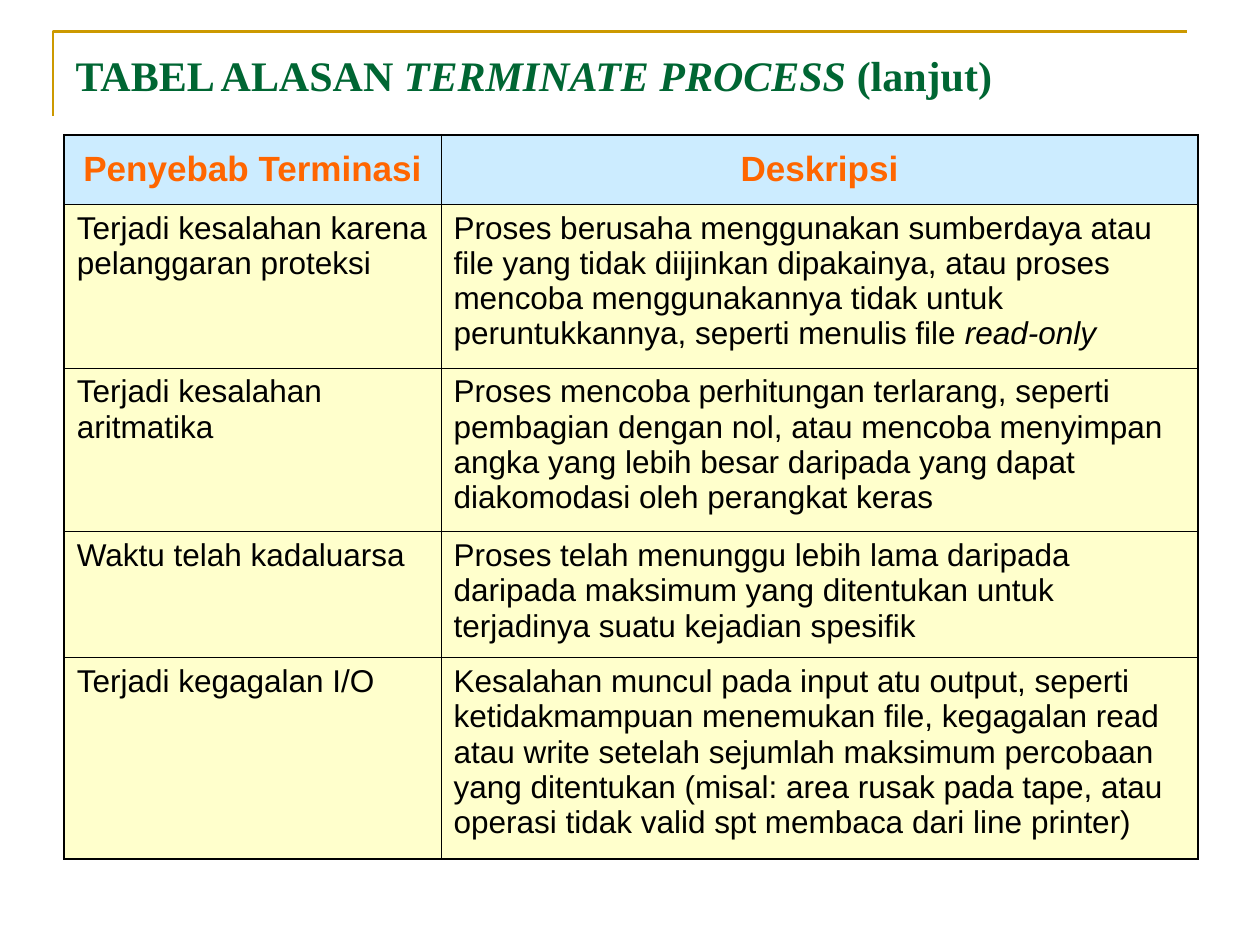
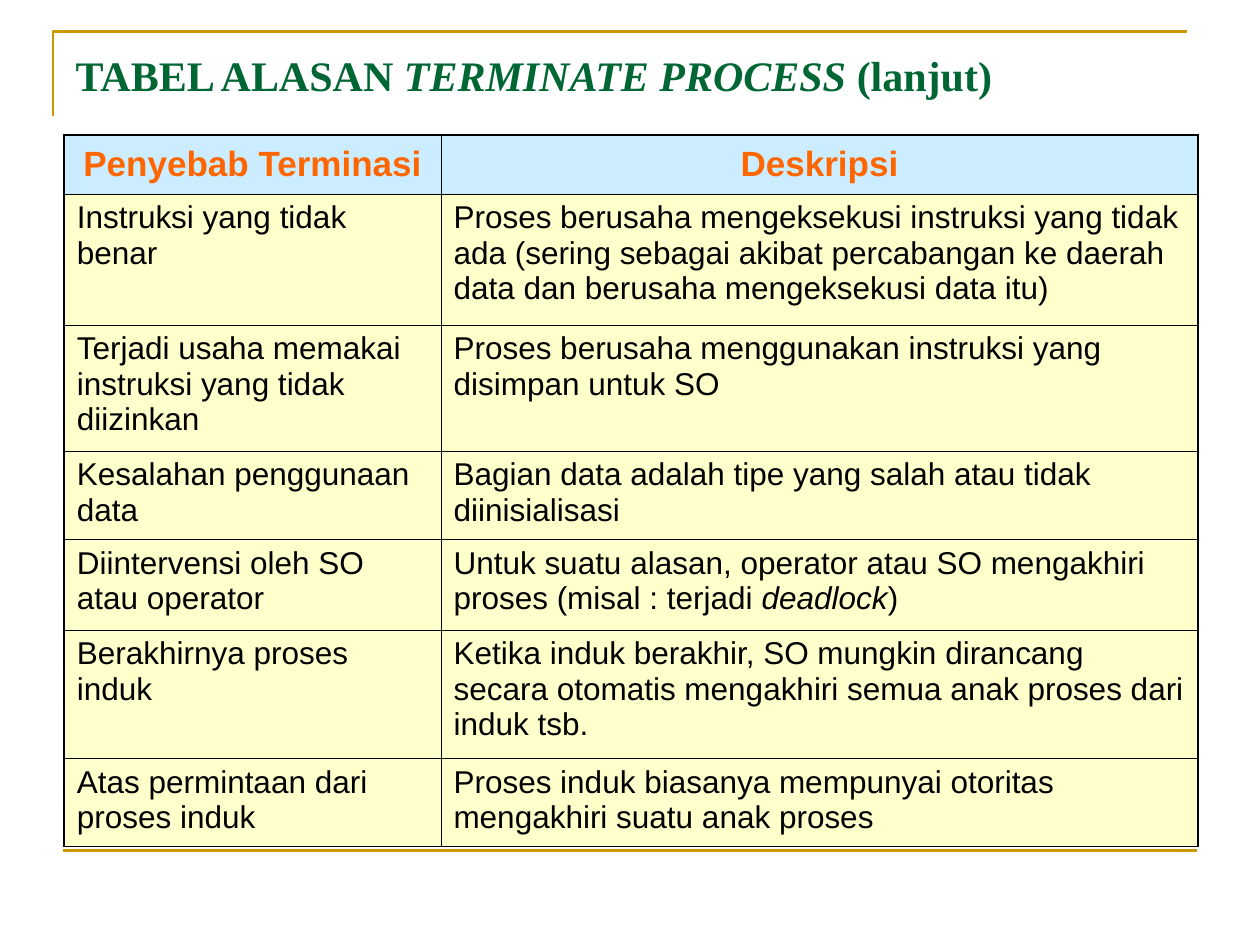
import pptx
import pptx.dml.color
import pptx.enum.text
import pptx.oxml.ns
import pptx.util
from lxml import etree

Inches = pptx.util.Inches
Pt = pptx.util.Pt
Align = pptx.enum.text.PP_ALIGN
Anchor = pptx.enum.text.MSO_ANCHOR

GOLD, BLACK = "CC9900", "000000"
HEADER_FILL, BODY_FILL = "CCECFF", "FFFFCC"
TITLE = {"name": "Times New Roman", "size": Pt(24), "bold": True, "color": "006633"}
HEADER = {"name": "Arial", "size": Pt(20), "bold": True, "color": "FF6600"}
BODY = {"name": "Arial", "size": Pt(18), "bold": False, "color": BLACK}
OUTER, INNER = Pt(1.08), Pt(0.45)
COLUMNS = (2.99, 6.01)

# Text between asterisks is italic.
HEADING = "TABEL ALASAN *TERMINATE PROCESS *(lanjut)"
COLUMN_HEADS = ("Penyebab Terminasi", "Deskripsi")
TABLES = [
    {
        "heights": (0.55, 1.3, 1.3, 1, 1.6),
        "reasons": [
            ("Terjadi kesalahan karena pelanggaran proteksi",
             "Proses berusaha menggunakan sumberdaya atau file yang tidak diijinkan "
             "dipakainya, atau proses mencoba menggunakannya tidak untuk "
             "peruntukkannya, seperti menulis file *read-only*"),
            ("Terjadi kesalahan aritmatika",
             "Proses mencoba perhitungan terlarang, seperti pembagian dengan nol, "
             "atau mencoba menyimpan angka yang lebih besar daripada yang dapat "
             "diakomodasi oleh perangkat keras"),
            ("Waktu telah kadaluarsa",
             "Proses telah menunggu lebih lama daripada daripada maksimum yang "
             "ditentukan untuk terjadinya suatu kejadian spesifik"),
            ("Terjadi kegagalan I/O",
             "Kesalahan muncul pada input atu output, seperti ketidakmampuan "
             "menemukan file, kegagalan read atau write setelah sejumlah maksimum "
             "percobaan yang ditentukan (misal: area rusak pada tape, atau operasi "
             "tidak valid spt membaca dari line printer)"),
        ],
    },
    {
        "heights": (0.47, 1.04, 1, 0.7, 0.72, 1.02, 0.7),
        "reasons": [
            ("Instruksi yang tidak benar",
             "Proses berusaha mengeksekusi instruksi yang tidak ada (sering sebagai "
             "akibat percabangan ke daerah data dan berusaha mengeksekusi data itu)"),
            ("Terjadi usaha memakai instruksi yang tidak diizinkan",
             "Proses berusaha menggunakan instruksi yang disimpan untuk SO"),
            ("Kesalahan penggunaan data",
             "Bagian data adalah tipe yang salah atau tidak diinisialisasi"),
            ("Diintervensi oleh SO atau operator",
             "Untuk suatu alasan, operator atau SO mengakhiri proses "
             "(misal : terjadi *deadlock*)"),
            ("Berakhirnya proses induk",
             "Ketika induk berakhir, SO mungkin dirancang secara otomatis mengakhiri "
             "semua anak proses dari induk tsb."),
            ("Atas permintaan dari proses induk",
             "Proses induk biasanya mempunyai otoritas mengakhiri suatu anak proses"),
        ],
    },
]


def rgb(color):
    return pptx.dml.color.RGBColor.from_string(color)


def add_xml(parent, tag, **attributes):
    return etree.SubElement(parent, pptx.oxml.ns.qn(tag), attributes)


class Deck:
    def __init__(self):
        self.prs = pptx.Presentation()
        self.prs.slide_width, self.prs.slide_height = Inches(10), Inches(7.5)
        self.s = None

    def new_slide(self):
        self.s = self.prs.slides.add_slide(self.prs.slide_layouts[5])
        self.corner()
        self.rule()

    def stroke(self, shape):
        shape.line.color.rgb = rgb(GOLD)
        shape.line.width = Pt(1.5)

    def corner(self):
        """Gold angle around the top left of the title."""
        points = [(Inches(x), Inches(y)) for x, y in ((0.42, 0.92), (0.42, 0.25), (9.42, 0.25))]
        builder = self.s.shapes.build_freeform(*points[0])
        builder.add_line_segments(points[1:], close=False)
        sp = builder.convert_to_shape()
        sp.shadow.inherit = False
        sp.fill.background()
        self.stroke(sp)

    def rule(self):
        """Gold line near the foot of the slide."""
        line = self.s.shapes.add_connector(
            1, Inches(0.5), Inches(6.75), Inches(9.5), Inches(6.75))
        self.stroke(line)
        add_xml(line._element.spPr, "a:effectLst")

    def add_runs(self, p, text, style):
        for i, part in enumerate(text.split("*")):
            if part:
                r = p.add_run()
                r.text = part
                for key, value in style.items():
                    if key == "color":
                        r.font.color.rgb = rgb(value)
                    else:
                        setattr(r.font, key, value)
                r.font.italic = i % 2 == 1

    def title(self, text):
        sp = self.s.shapes.title
        sp.left, sp.top, sp.width, sp.height = map(Inches, (0.5, 0.3, 9, 0.77))
        tf = sp.text_frame
        frame = {"auto_size": pptx.enum.text.MSO_AUTO_SIZE.NONE, "word_wrap": True,
                 "vertical_anchor": Anchor.TOP, "margin_top": Inches(0.09)}
        for key, value in frame.items():
            setattr(tf, key, value)
        p = tf.paragraphs[0]
        p.alignment = Align.LEFT
        self.add_runs(p, text, TITLE)

    def borders(self, cell, outer_sides):
        tc_pr = cell._tc.get_or_add_tcPr()
        for side in "LRTB":
            width = OUTER if side in outer_sides else INNER
            ln = add_xml(tc_pr, f"a:ln{side}", w=str(int(width)))
            add_xml(add_xml(ln, "a:solidFill"), "a:srgbClr", val=BLACK)

    def table(self, rows, heights):
        frame = self.s.shapes.add_table(
            len(rows), len(COLUMNS), Inches(0.51), Inches(1.07),
            Inches(sum(COLUMNS)), Inches(sum(heights)))
        table = frame.table
        table.first_row = table.horz_banding = False
        for column, width in zip(table.columns, COLUMNS):
            column.width = Inches(width)
        for i, (texts, height) in enumerate(zip(rows, heights)):
            table.rows[i].height = Inches(height)
            header = i == 0
            vertical = "T" if header else "B" if i == len(rows) - 1 else ""
            for j, text in enumerate(texts):
                cell = table.cell(i, j)
                self.borders(cell, "LR"[j] + vertical)
                cell.fill.solid()
                cell.fill.fore_color.rgb = rgb(HEADER_FILL if header else BODY_FILL)
                cell.vertical_anchor = Anchor.MIDDLE if header else Anchor.TOP
                p = cell.text_frame.paragraphs[0]
                p.alignment = Align.CENTER if header else Align.LEFT
                self.add_runs(p, text, HEADER if header else BODY)


def main():
    deck = Deck()
    for content in TABLES:
        deck.new_slide()
        deck.title(HEADING)
        deck.table([COLUMN_HEADS] + content["reasons"], content["heights"])
    deck.prs.save("out.pptx")


if __name__ == "__main__":
    main()
